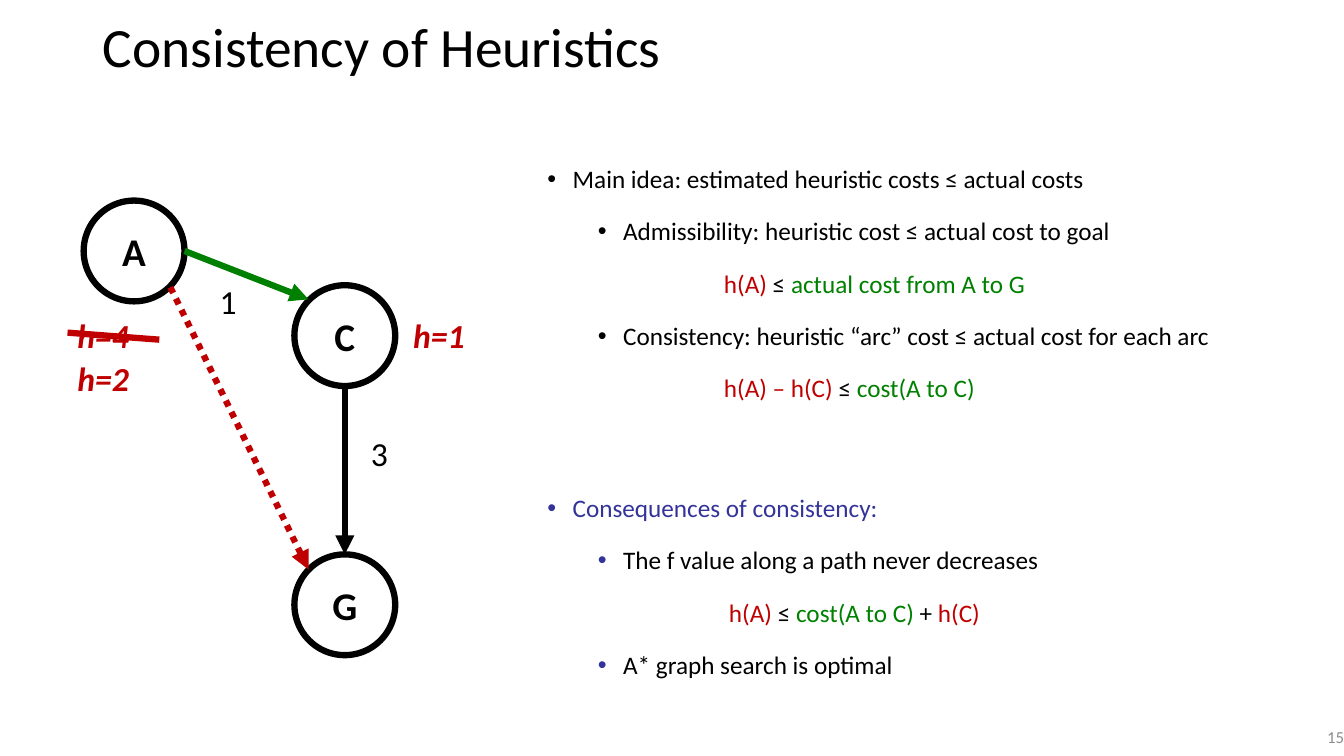
"""Build the slide on consistency of heuristics in graph search."""
import pptx
import pptx.dml.color
import pptx.enum.dml
import pptx.enum.shapes
import pptx.enum.text
import pptx.oxml
import pptx.oxml.ns
import pptx.util

Inches = pptx.util.Inches
Pt = pptx.util.Pt
RGBColor = pptx.dml.color.RGBColor
ALIGN = pptx.enum.text.PP_ALIGN
MIDDLE = pptx.enum.text.MSO_ANCHOR.MIDDLE
TOP = pptx.enum.text.MSO_ANCHOR.TOP

BLACK = RGBColor(0x00, 0x00, 0x00)
WHITE = RGBColor(0xFF, 0xFF, 0xFF)
RED = RGBColor(0xC0, 0x00, 0x00)
GREEN = RGBColor(0x00, 0x80, 0x00)
BLUE = RGBColor(0x33, 0x33, 0x99)
GRAY = RGBColor(0x8C, 0x8C, 0x8C)


def style(span, size, color, bold=False, italic=False):
    """Set the font of one run."""
    span.font.name = "Calibri"
    span.font.size = Pt(size)
    span.font.color.rgb = color
    span.font.bold = bold
    span.font.italic = italic


def add_child(parent, tag, **attributes):
    """Append a DrawingML element and return it."""
    child = pptx.oxml.parse_xml(f"<a:{tag} {pptx.oxml.ns.nsdecls('a')}/>")
    for name, value in attributes.items():
        child.set(name, value)
    parent.append(child)
    return child


deck = pptx.Presentation()
deck.slide_width = Inches(13.33)
deck.slide_height = Inches(7.5)
page = deck.slides.add_slide(deck.slide_layouts[1])

title = page.shapes.title
title.left, title.top = Inches(0.92), Inches(0.13)
title.width, title.height = Inches(11.5), Inches(0.73)
title.text_frame.text = "Consistency of Heuristics"
title.text_frame.auto_size = pptx.enum.text.MSO_AUTO_SIZE.NONE
title.text_frame.vertical_anchor = MIDDLE
para = title.text_frame.paragraphs[0]
para.alignment = ALIGN.LEFT
para.line_spacing = 0.9
style(para.runs[0], 39.6, BLACK)

# level, left margin, space before, bullet colour, spans
points = [
    (0, 0.25, 10, BLACK, [("Main idea: estimated heuristic costs ≤ actual costs", BLACK)]),
    (1, 0.75, 5, BLACK, [("Admissibility: heuristic cost ≤ actual cost to goal", BLACK)]),
    (1, 1.75, 5, None, [("h(A) ", RED), ("≤ ", BLACK), ("actual cost from A to G", GREEN)]),
    (1, 0.75, 5, BLACK,
     [("Consistency: heuristic “arc” cost ≤ actual cost for each arc", BLACK)]),
    (1, 1.75, 5, None, [("h(A) – h(C) ", RED), ("≤ ", BLACK), ("cost(A to C)", GREEN)]),
    (0, 0.25, 53, BLUE, [("Consequences of consistency:", BLUE)]),
    (1, 0.75, 5, BLUE, [("The f value along a path never decreases", BLACK)]),
    (1, 1.8, 5, None, [("h(A) ", RED), ("≤ ", BLACK), ("cost(A to C) ", GREEN),
                       ("+ ", BLACK), ("h(C)", RED)]),
    (1, 0.75, 5, BLUE, [("A* graph search is optimal", BLACK)]),
]
body = page.placeholders[1]
body.left, body.top = Inches(5.33), Inches(1.42)
body.width, body.height = Inches(7.58), Inches(3.33)
frame = body.text_frame
frame.auto_size = pptx.enum.text.MSO_AUTO_SIZE.NONE
frame.vertical_anchor = TOP
for index, (level, margin, space, bullet, spans) in enumerate(points):
    para = frame.add_paragraph() if index else frame.paragraphs[0]
    para.level = level
    para.line_spacing = 1.5
    para.space_before = Pt(space)
    para.space_after = Pt(0)
    properties = para._p.get_or_add_pPr()
    properties.set("marL", str(Inches(margin)))
    properties.set("indent", str(Inches(-0.25 if bullet else 0)))
    if bullet:
        add_child(add_child(properties, "buClr"), "srgbClr", val=str(bullet))
        add_child(properties, "buFont", typeface="Arial")
        add_child(properties, "buChar", char="•")
    else:
        add_child(properties, "buNone")
    for words, color in spans:
        span = para.add_run()
        span.text = words
        style(span, 18, color)

for name, left, top in [("A", 0.83, 1.99), ("C", 2.92, 2.83), ("G", 2.92, 5.5)]:
    node = page.shapes.add_shape(pptx.enum.shapes.MSO_SHAPE.OVAL,
                                 Inches(left), Inches(top), Inches(1), Inches(1))
    node.shadow.inherit = False
    node.fill.solid()
    node.fill.fore_color.rgb = WHITE
    node.line.color.rgb = BLACK
    node.line.width = Pt(4.5)
    node.text_frame.text = name
    node.text_frame.vertical_anchor = MIDDLE
    para = node.text_frame.paragraphs[0]
    para.alignment = ALIGN.CENTER
    style(para.runs[0], 28, BLACK, bold=True)

labels = [
    ("3", 3.58, 4.25, 0.37, BLACK),
    ("1", 2.08, 2.74, 0.37, BLACK),
    ("h=4", 0.67, 3.08, 0.8, RED),
    ("h=2", 0.67, 3.5, 0.8, RED),
    ("h=1", 4, 3.08, 0.8, RED),
]
for words, left, top, width, color in labels:
    box = page.shapes.add_textbox(Inches(left), Inches(top), Inches(width), Inches(0.5))
    box.text_frame.text = words
    box.text_frame.word_wrap = False
    emphasis = color == RED
    style(box.text_frame.paragraphs[0].runs[0], 24, color, emphasis, emphasis)

# start, end, colour, dotted, arrowhead
edges = [
    ((3.42, 3.83), (3.42, 5.5), BLACK, False, True),
    ((1.69, 2.85), (3.06, 5.65), RED, True, True),
    ((1.83, 2.49), (3.06, 2.97), GREEN, False, True),
    ((0.67, 3.3), (1.58, 3.37), RED, False, False),
]
for start, end, color, dotted, arrowhead in edges:
    edge = page.shapes.add_connector(pptx.enum.shapes.MSO_CONNECTOR.STRAIGHT,
                                     *map(Inches, start + end))
    edge.line.color.rgb = color
    edge.line.width = Pt(4.5)
    if dotted:
        edge.line.dash_style = pptx.enum.dml.MSO_LINE.ROUND_DOT
    if arrowhead:
        add_child(edge.line._get_or_add_ln(), "tailEnd", type="triangle")
    add_child(edge._element.spPr, "effectLst")

number = page.shapes.add_textbox(Inches(12.74), Inches(7.12), Inches(0.59), Inches(0.38))
number.text_frame.text = "15"
number.text_frame.word_wrap = True
number.text_frame.vertical_anchor = MIDDLE
number.text_frame.margin_right = 0
para = number.text_frame.paragraphs[0]
para.alignment = ALIGN.RIGHT
style(para.runs[0], 12, GRAY)

deck.save("out.pptx")
